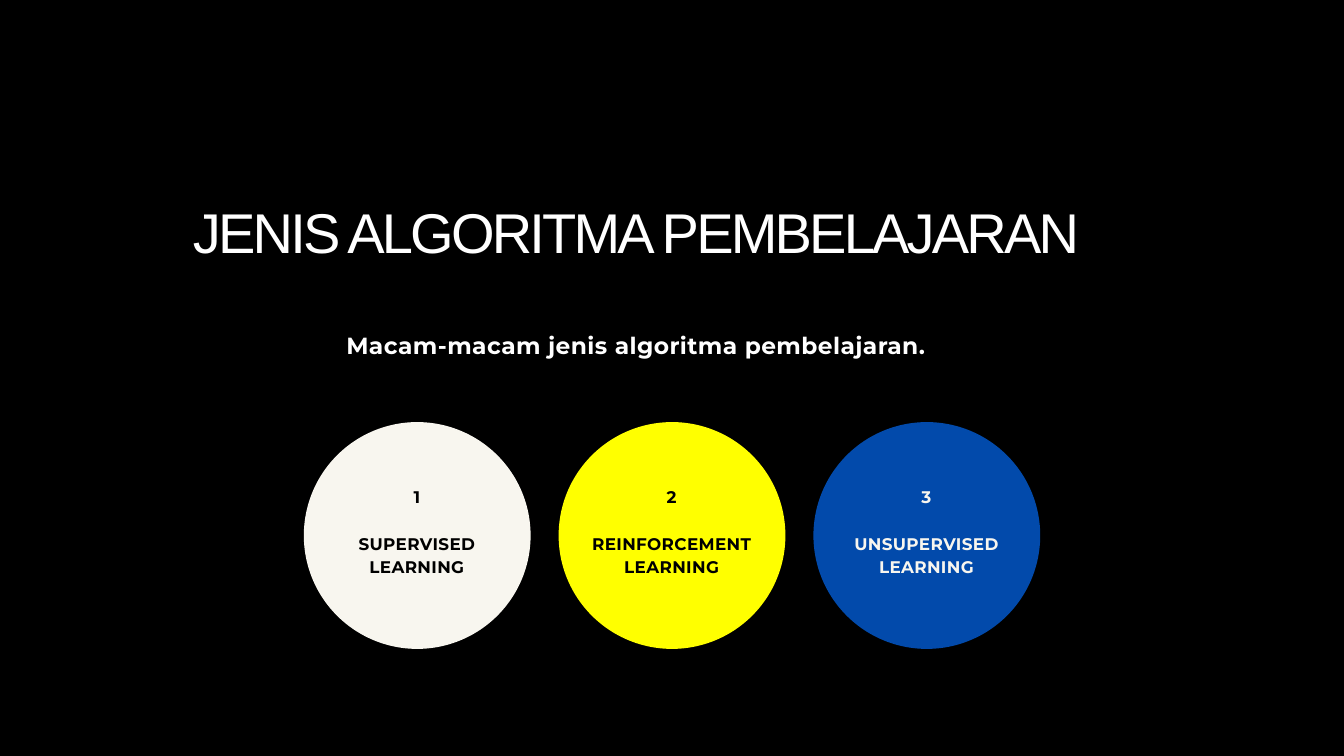
from dataclasses import dataclass

from pptx import Presentation
from pptx.dml.color import RGBColor
from pptx.enum.shapes import MSO_SHAPE as Shape
from pptx.enum.text import MSO_ANCHOR as Anchor, PP_ALIGN as Align
from pptx.util import Pt

TITLE = "JENIS ALGORITMA PEMBELAJARAN"
SUBTITLE = "Macam-macam jenis algoritma pembelajaran."
KINDS = [
    ("1", "SUPERVISED", "LEARNING", "cream", "black"),
    ("2", "REINFORCEMENT", "LEARNING", "yellow", "black"),
    ("3", "UNSUPERVISED", "LEARNING", "blue", "cream"),
]


@dataclass(frozen=True)
class TextStyle:
    font: str
    size: float
    leading: float
    tracking: float
    bold: bool


@dataclass(frozen=True)
class Theme:
    black: str = "000000"
    white: str = "FFFFFF"
    cream: str = "F8F6EF"
    yellow: str = "FFFF00"
    blue: str = "024AAB"
    title: TextStyle = TextStyle("Arial", 60, 60, -3, False)
    subtitle: TextStyle = TextStyle("Montserrat", 25, 35, 0.5, True)
    label: TextStyle = TextStyle("Montserrat", 18, 25.2, 0.4, True)

    def color(self, name):
        return RGBColor.from_string(getattr(self, name))


THEME = Theme()
EMU_PER_PX = 9525
PAGE_WIDTH, PAGE_HEIGHT = 1920, 1080
DIAMETER, GAP, CIRCLE_TOP = 324, 40, 603
LABEL_WIDTH, LABEL_HEIGHT, LABEL_TOP, LABEL_INSET = 263, 278, 618, 6


def px(*lengths):
    return [length * EMU_PER_PX for length in lengths]


def add_text(page, place, lines, style, color, inset=0, anchor=Anchor.TOP):
    frame = page.shapes.add_textbox(*px(*place)).text_frame
    frame.word_wrap = True
    frame.vertical_anchor = anchor
    margin = inset * EMU_PER_PX
    frame.margin_left = frame.margin_right = margin
    frame.margin_top = frame.margin_bottom = margin
    for index, (text, space_before) in enumerate(lines):
        para = frame.add_paragraph() if index else frame.paragraphs[0]
        para.alignment = Align.CENTER
        para.line_spacing = Pt(style.leading)
        para.space_before = Pt(space_before)
        span = para.add_run()
        span.text = text
        span.font.name = style.font
        span.font.size = Pt(style.size)
        span.font.bold = style.bold
        span.font.color.rgb = THEME.color(color)
        span.font._element.set("spc", str(round(style.tracking * 100)))


def add_kind(page, left, number, name, noun, fill, ink):
    circle = page.shapes.add_shape(
        Shape.OVAL, *px(left, CIRCLE_TOP, DIAMETER, DIAMETER)
    )
    circle.shadow.inherit = False
    circle.fill.solid()
    circle.fill.fore_color.rgb = THEME.color(fill)
    circle.line.fill.background()
    label_left = left + (DIAMETER - LABEL_WIDTH) // 2
    place = (label_left, LABEL_TOP, LABEL_WIDTH, LABEL_HEIGHT)
    lines = [(number, 0), (name, THEME.label.leading), (noun, 0)]
    add_text(page, place, lines, THEME.label, ink, LABEL_INSET, Anchor.MIDDLE)


def main():
    deck = Presentation()
    deck.slide_width, deck.slide_height = px(PAGE_WIDTH, PAGE_HEIGHT)
    page = deck.slides.add_slide(deck.slide_layouts[6])
    page.background.fill.solid()
    page.background.fill.fore_color.rgb = THEME.color("black")

    pitch = DIAMETER + GAP
    first_left = (PAGE_WIDTH - len(KINDS) * pitch + GAP) // 2
    for index, kind in enumerate(KINDS):
        add_kind(page, first_left + index * pitch, *kind)

    add_text(page, (164, 298, 1489, 172), [(TITLE, 0)], THEME.title, "white")
    add_text(page, (492, 466, 833, 43), [(SUBTITLE, 0)], THEME.subtitle, "white")
    deck.save("out.pptx")


if __name__ == "__main__":
    main()
